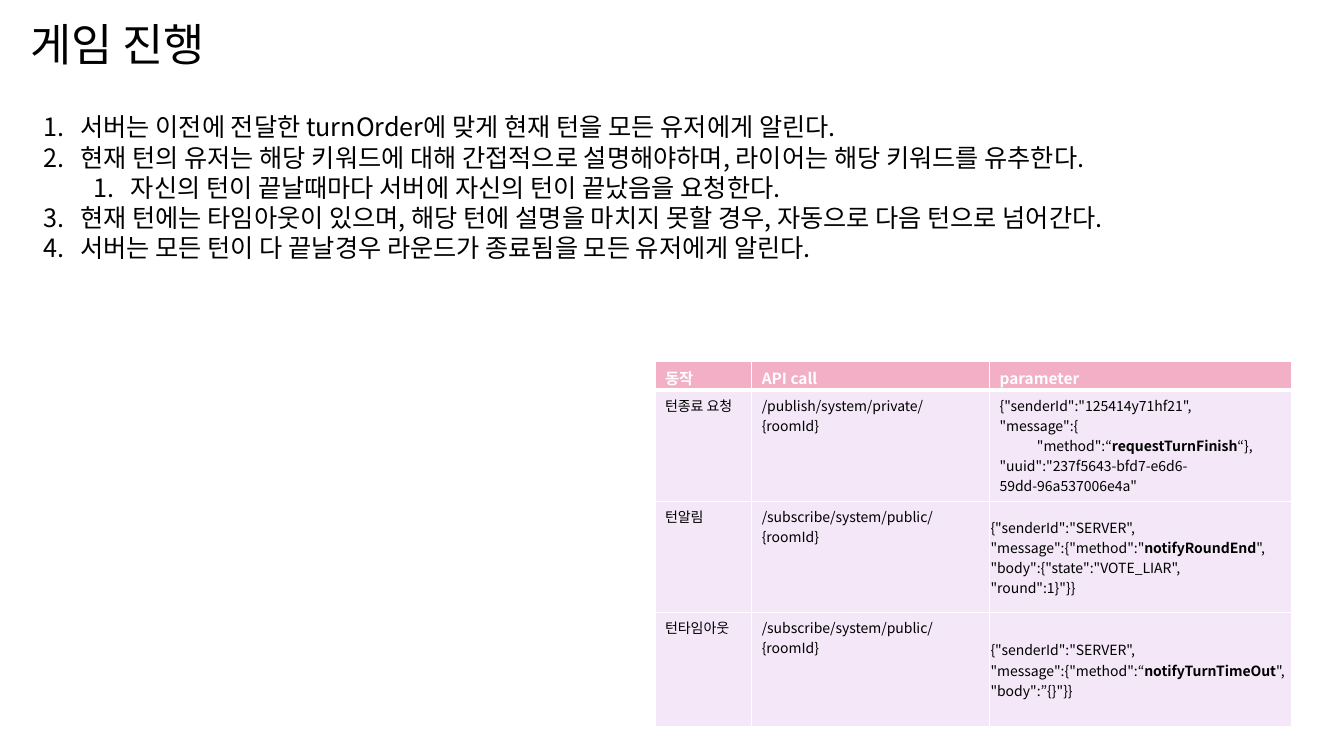
from dataclasses import dataclass

from lxml.etree import SubElement
from pptx import Presentation
from pptx.dml.color import RGBColor
from pptx.enum.text import MSO_ANCHOR, MSO_AUTO_SIZE
from pptx.oxml.ns import qn
from pptx.util import Inches, Pt


@dataclass(frozen=True)
class Theme:
    font: str = "Noto Sans CJK KR"
    ink: str = "000000"
    white: str = "FFFFFF"
    pink: str = "F3AFC6"
    lilac: str = "F3E7F8"
    title: int = 32
    body: int = 18
    head: int = 11
    cell: int = 10
    thin: int = 1
    thick: int = 3


STEPS = [
    (0, "서버는 이전에 전달한 turnOrder에 맞게 현재 턴을 모든 유저에게 알린다."),
    (0, "현재 턴의 유저는 해당 키워드에 대해 간접적으로 설명해야하며, 라이어는 해당 키워드를 유추한다."),
    (1, "자신의 턴이 끝날때마다 서버에 자신의 턴이 끝났음을 요청한다."),
    (0, "현재 턴에는 타임아웃이 있으며, 해당 턴에 설명을 마치지 못할 경우, 자동으로 다음 턴으로 넘어간다."),
    (0, "서버는 모든 턴이 다 끝날경우 라운드가 종료됨을 모든 유저에게 알린다."),
]

# Each cell is a list of lines; ** marks bold and a leading tab an indent
CALLS = [
    [["동작"], ["API call"], ["parameter"]],
    [["턴종료 요청"], ["/publish/system/private/{roomId}"],
     ['{"senderId":"125414y71hf21",', '"message":{',
      '\t"method":“**requestTurnFinish**“},',
      '"uuid":"237f5643-bfd7-e6d6-59dd-96a537006e4a"']],
    [["턴알림"], ["/subscribe/system/public/{roomId}"],
     ['{"senderId":"SERVER",', '"message":{"method":"**notifyRoundEnd**",',
      '"body":{"state":"VOTE_LIAR",', '"round":1}"}}']],
    [["턴타임아웃"], ["/subscribe/system/public/{roomId}"],
     ['{"senderId":"SERVER",', '"message":{"method":“**notifyTurnTimeOut**",',
      '"body":”{}"}}']],
]


def write(para, text, *, font, size, color, bold=False, space=None,
          left=0, hang=0, level=0, count=False):
    """Fill one paragraph; parts between ** switch the weight."""
    para.level = level
    if space:
        para.line_spacing = space
    props = para._p.get_or_add_pPr()
    props.set("marL", str(Inches(left)))
    props.set("indent", str(-Inches(hang)))
    if count:
        SubElement(props, qn("a:buFont"), typeface="+mj-lt")
        SubElement(props, qn("a:buAutoNum"), type="arabicPeriod")
    for i, part in enumerate(text.split("**")):
        run = para.add_run()
        run.text = part
        run.font.size = Pt(size)
        run.font.bold = bold or i % 2 == 1
        run.font.color.rgb = RGBColor.from_string(color)
        run.font.name = font
        look = run._r.get_or_add_rPr()
        look.set("kern", "0")
        SubElement(look, qn("a:ea"), typeface=font)


def lines(frame, count):
    """Yield the first paragraph, then new ones."""
    for i in range(count):
        yield frame.add_paragraph() if i else frame.paragraphs[0]


class Deck:
    """Places elements by percent of the slide's width and height."""

    def __init__(self, theme):
        self.theme = theme
        self.show = Presentation()
        self.show.slide_width, self.show.slide_height = Inches(13.33), Inches(7.5)
        self.slide = self.show.slides.add_slide(self.show.slide_layouts[6])

    def wide(self, share):
        return int(self.show.slide_width * share / 100)

    def high(self, share):
        return int(self.show.slide_height * share / 100)

    def frame(self, x, y, w, h):
        box = self.slide.shapes.add_textbox(
            self.wide(x), self.high(y), self.wide(w), self.high(h))
        box.text_frame.word_wrap = True
        return box.text_frame

    def title(self, text, *place):
        frame = self.frame(*place)
        frame.vertical_anchor = MSO_ANCHOR.MIDDLE
        write(frame.paragraphs[0], text, font=self.theme.font,
              size=self.theme.title, color=self.theme.ink, space=0.9)

    def steps(self, items, *place):
        frame = self.frame(*place)
        frame.auto_size = MSO_AUTO_SIZE.SHAPE_TO_FIT_TEXT
        for para, (level, text) in zip(lines(frame, len(items)), items):
            write(para, text, font=self.theme.font, size=self.theme.body,
                  color=self.theme.ink, level=level,
                  left=0.37 + level * 0.5, hang=0.37, count=True)

    def edge(self, cell, row):
        look = self.theme
        props = cell._tc.get_or_add_tcPr()
        for side in "LRTB":
            heavy = row == 0 and side == "B"
            width = Pt(look.thick if heavy else look.thin)
            line = SubElement(props, qn(f"a:ln{side}"), w=str(width))
            fill = SubElement(line, qn("a:solidFill"))
            SubElement(fill, qn("a:srgbClr"), val=look.white)

    def cell(self, cell, texts, row, col):
        look, head = self.theme, row == 0
        self.edge(cell, row)
        cell.fill.solid()
        cell.fill.fore_color.rgb = RGBColor.from_string(
            look.pink if head else look.lilac)
        if head:
            cell.margin_bottom = 0
        elif row > 1 and col == 2:
            cell.vertical_anchor = MSO_ANCHOR.MIDDLE
            cell.margin_left = cell.margin_right = cell.margin_top = Inches(0.01)
            cell.margin_bottom = 0
        for para, text in zip(lines(cell.text_frame, len(texts)), texts):
            write(para, text.lstrip("\t"), font=look.font, bold=head,
                  size=look.head if head else look.cell,
                  color=look.white if head else look.ink,
                  left=0.37 if text.startswith("\t") else 0)

    def table(self, data, x, y, cols, rows):
        grid = self.slide.shapes.add_table(
            len(rows), len(cols), self.wide(x), self.high(y),
            self.wide(sum(cols)), self.high(sum(rows))).table
        for col, share in zip(grid.columns, cols):
            col.width = self.wide(share)
        for row, share in zip(grid.rows, rows):
            row.height = self.high(share)
        for r, texts in enumerate(data):
            for c, text in enumerate(texts):
                self.cell(grid.cell(r, c), text, r, c)


def main():
    deck = Deck(Theme())
    # Heading and game steps
    deck.title("게임 진행", 1.5, 2, 24.68, 8.53)
    deck.steps(STEPS, 2.48, 14.13, 85.15, 41.73)
    # API calls
    deck.table(CALLS, 48.73, 47.87, cols=(7.2, 17.7, 22.5),
               rows=(3.73, 14.7, 14.7, 15.15))
    deck.show.save("out.pptx")


if __name__ == "__main__":
    main()
